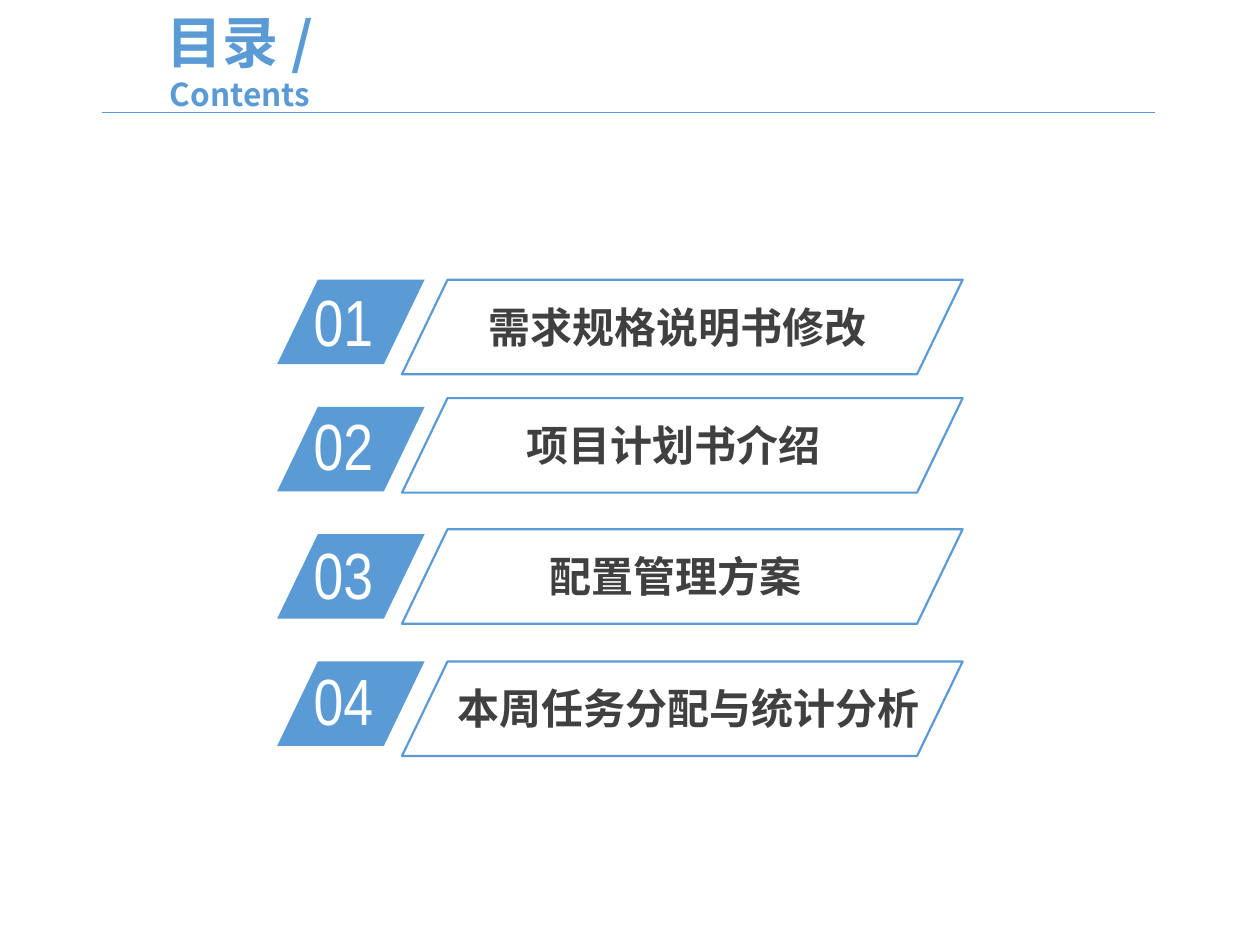
import lxml.etree
import pptx
import pptx.dml.color
import pptx.enum.shapes
import pptx.enum.text
import pptx.oxml.ns
import pptx.util
from pptx.util import Inches

COLORS = {"blue": "5B9BD5", "white": "FFFFFF", "dark": "404040"}
CJK = "Noto Sans CJK SC"
FORMATS = {
    "title": ({"size": pptx.util.Pt(32), "name": CJK, "bold": True}, "blue"),
    "subtitle": ({"size": pptx.util.Pt(18), "name": CJK, "bold": True}, "blue"),
    "number": ({"size": pptx.util.Pt(37.3), "name": "Arial Narrow", "bold": False}, "white"),
    "label": ({"size": pptx.util.Pt(24), "name": CJK, "bold": True}, "dark"),
}
SLANT = 0.482
ITEMS = [
    ("01", 2.18, "需求规格说明书修改", 2.22, (3.78, 3.28)),
    ("02", 3.17, "项目计划书介绍", 3.16, (4.08, 2.88)),
    ("03", 4.19, "配置管理方案", 4.2, (4.26, 2.31)),
    ("04", 5.19, "本周任务分配与统计分析", 5.25, (3.53, 3.93)),
]


def color(name):
    return pptx.dml.color.RGBColor.from_string(COLORS[name])


def add_text(paragraph, text, style):
    run = paragraph.add_run()
    run.text = text
    values, color_name = FORMATS[style]
    for name, value in values.items():
        setattr(run.font, name, value)
    run.font.color.rgb = color(color_name)
    east_asian = lxml.etree.SubElement(
        run._r.get_or_add_rPr(), pptx.oxml.ns.qn("a:ea"))
    east_asian.set("typeface", values["name"])


def add_label(slide, box, text, style):
    shape = slide.shapes.add_textbox(*map(Inches, box))
    shape.text_frame.word_wrap = True
    add_text(shape.text_frame.paragraphs[0], text, style)


def add_parallelogram(slide, box):
    shape = slide.shapes.add_shape(
        pptx.enum.shapes.MSO_SHAPE.PARALLELOGRAM, *map(Inches, box))
    shape.adjustments[0] = SLANT
    shape.shadow.inherit = False
    return shape


def add_header(slide, box):
    title = slide.shapes.title
    for name, value in zip(("left", "top", "width", "height"), box):
        setattr(title, name, Inches(value))
    frame = title.text_frame
    settings = {
        "auto_size": pptx.enum.text.MSO_AUTO_SIZE.NONE,
        "word_wrap": True,
        "vertical_anchor": pptx.enum.text.MSO_ANCHOR.MIDDLE,
    }
    for name, value in settings.items():
        setattr(frame, name, value)
    lines = [("目录 /", "title"), ("Contents", "subtitle")]
    for index, (text, style) in enumerate(lines):
        paragraph = frame.add_paragraph() if index else frame.paragraphs[0]
        paragraph.alignment = pptx.enum.text.PP_ALIGN.CENTER
        paragraph.space_before = pptx.util.Pt(0)
        add_text(paragraph, text, style)


def add_rule(slide, left, right, top):
    rule = slide.shapes.add_connector(
        pptx.enum.shapes.MSO_CONNECTOR.STRAIGHT,
        Inches(left), Inches(top), Inches(right), Inches(top))
    rule.line.color.rgb = color("blue")
    rule.line.width = pptx.util.Pt(0.5)
    lxml.etree.SubElement(rule._element.spPr, pptx.oxml.ns.qn("a:effectLst"))


def add_number(slide, box, text, text_top):
    badge = add_parallelogram(slide, box)
    badge.fill.solid()
    badge.fill.fore_color.rgb = color("blue")
    badge.line.fill.background()
    add_label(slide, (box[0] + 0.19, text_top, 1.12, 0.73), text, "number")


def add_entry(slide, box, text, text_left, text_width):
    text_box = (text_left, box[1] + 0.12, text_width, 0.5)
    add_label(slide, text_box, text, "label")
    frame = add_parallelogram(slide, box)
    frame.fill.background()
    frame.line.color.rgb = color("blue")
    frame.line.width = pptx.util.Pt(1.25)


def main():
    presentation = pptx.Presentation()
    presentation.slide_width = Inches(10)
    presentation.slide_height = Inches(7.5)
    slide = presentation.slides.add_slide(presentation.slide_layouts[5])
    add_header(slide, (0.67, 0.21, 2.47, 0.54))
    add_rule(slide, 0.81, 9.17, 0.89)
    for index, (number, number_top, label, top, span) in enumerate(ITEMS):
        badge_top = 2.22 + index * 1.01
        add_number(slide, (2.2, badge_top, 1.17, 0.67), number, number_top)
        add_entry(slide, (3.19, top, 4.45, 0.75), label, *span)
    presentation.save("out.pptx")


if __name__ == "__main__":
    main()
